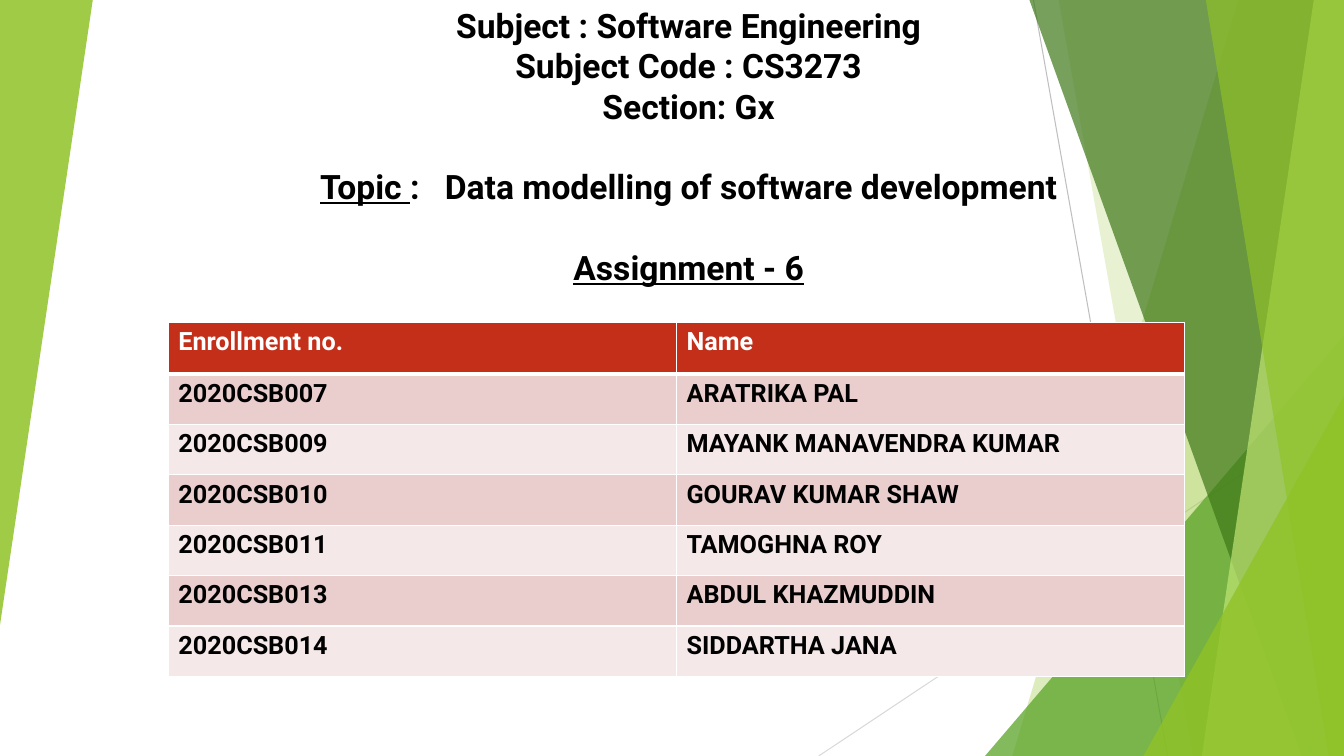
"""Build the title slide of a software engineering assignment."""
import dataclasses
import typing

import pptx
import pptx.dml.color
import pptx.enum.shapes
import pptx.enum.text
import pptx.oxml
import pptx.oxml.ns
import pptx.util

Inches = pptx.util.Inches
Pt = pptx.util.Pt
RGB = pptx.dml.color.RGBColor.from_string
qn = pptx.oxml.ns.qn
NS = pptx.oxml.ns.nsdecls("a")


@dataclasses.dataclass(frozen=True)
class Theme:
    font: str = "Roboto"
    title_size: float = 24
    line_pitch: float = 28.8
    table_size: float = 18
    text: str = "000000"
    white: str = "FFFFFF"
    header: str = "C42F1A"
    bands: tuple[str, str] = ("EACDCD", "F5E8E8")
    lime: str = "90C226"
    green: str = "54A021"
    forest: str = "3F7819"
    pale: str = "C0E474"
    grey: str = "BFBFBF"
    light_grey: str = "D9D9D9"


class Ray(typing.NamedTuple):
    start: tuple[float, float]
    end: tuple[float, float]
    color: str


class Facet(typing.NamedTuple):
    top_left: float
    bottom_left: float
    color: str
    alpha: int


class Corner(typing.NamedTuple):
    left: float
    top: float
    width: float
    height: float
    color: str
    alpha: int
    rotation: float = 0


class Line(typing.NamedTuple):
    runs: tuple[tuple[str, dict[str, typing.Any]], ...]
    gap_before: bool = False


THEME = Theme()
WIDTH, HEIGHT = 13.33, 7.5
UNDERLINE = {"underline": True}
THREE_SPACES_EXTRA = "1200"

RAYS = [
    Ray((10.25, 0), (11.58, HEIGHT), THEME.grey),
    Ray((WIDTH, 4.03), (8.12, HEIGHT), THEME.light_grey),
]
DECOR = [
    Facet(12.28, 10.04, THEME.lime, 30),
    Facet(10.5, 11.83, THEME.lime, 20),
    Corner(9.77, 3.33, 3.56, 4.17, THEME.green, 72),
    Facet(10.21, 12.91, THEME.forest, 70),
    Facet(13.03, 11.92, THEME.pale, 70),
    Facet(11.96, 13.18, THEME.lime, 65),
    Corner(11.34, 3.93, 1.99, 3.57, THEME.lime, 80),
    Corner(0, 0, 0.92, 6.2, THEME.lime, 85, 180),
]
HEADING = [
    Line((("Subject : Software Engineering", {}),)),
    Line((("Subject Code : CS3273", {}),)),
    Line((("Section: Gx", {}),)),
    Line((("Topic ", UNDERLINE), (":", {}), (" ", {"spacing": THREE_SPACES_EXTRA}),
          ("Data modelling of software development", {})), True),
    Line((("Assignment - 6", UNDERLINE),), True),
]
STUDENTS = [
    ("Enrollment no.", "Name"),
    ("2020CSB007", "ARATRIKA PAL"),
    ("2020CSB009", "MAYANK MANAVENDRA KUMAR"),
    ("2020CSB010", "GOURAV KUMAR SHAW"),
    ("2020CSB011", "TAMOGHNA ROY"),
    ("2020CSB013", "ABDUL KHAZMUDDIN"),
    ("2020CSB014", "SIDDARTHA JANA"),
]


def add_run(p, text: str, size: float, color: str, **extra: typing.Any) -> None:
    """Add a bold run; spacing is in hundredths of a point."""
    r = p.add_run()
    r.text = text
    spacing = extra.pop("spacing", None)
    style = {"name": THEME.font, "size": Pt(size), "bold": True, **extra}
    for name, value in style.items():
        setattr(r.font, name, value)
    r.font.color.rgb = RGB(color)
    if spacing:
        r.font._element.set("spc", spacing)


def add_ray(shapes, ray: Ray) -> None:
    """Draw a thin background line."""
    points = [Inches(v) for v in (*ray.start, *ray.end)]
    sp = shapes.add_connector(pptx.enum.shapes.MSO_CONNECTOR.STRAIGHT, *points)
    sp.line.color.rgb = RGB(ray.color)
    sp.line.width = Pt(0.75)
    sp._element.spPr.append(pptx.oxml.parse_xml(f"<a:effectLst {NS}/>"))


def add_decor(shapes, item: Facet | Corner) -> None:
    """Draw a translucent facet along the right edge or a corner triangle."""
    if isinstance(item, Facet):
        corners = [(item.top_left, 0), (WIDTH, 0), (WIDTH, HEIGHT), (item.bottom_left, HEIGHT)]
        points = [(Inches(x), Inches(y)) for x, y in corners]
        builder = shapes.build_freeform(*points[0])
        builder.add_line_segments(points[1:], close=True)
        sp = builder.convert_to_shape()
    else:
        box = [Inches(v) for v in item[:4]]
        sp = shapes.add_shape(pptx.enum.shapes.MSO_SHAPE.ISOSCELES_TRIANGLE, *box)
        sp.adjustments[0] = 1
        sp.rotation = item.rotation
    sp.shadow.inherit = False
    sp.fill.solid()
    sp.fill.fore_color.rgb = RGB(item.color)
    sp.line.fill.background()
    color = sp._element.spPr.find(qn("a:solidFill"))[0]
    color.append(pptx.oxml.parse_xml(f'<a:alpha {NS} val="{item.alpha * 1000}"/>'))


def style_cell(cell, text: str, fill: str, color: str, edges: dict[str, float]) -> None:
    """Write one table cell with its borders, fill and text."""
    tc_pr = cell._tc.get_or_add_tcPr()
    for side, width in edges.items():
        tc_pr.append(pptx.oxml.parse_xml(
            f'<a:ln{side} {NS} w="{Pt(width)}"><a:solidFill>'
            f'<a:srgbClr val="{THEME.white}"/></a:solidFill></a:ln{side}>'))
    cell.fill.solid()
    cell.fill.fore_color.rgb = RGB(fill)
    add_run(cell.text_frame.paragraphs[0], text, THEME.table_size, color)


def add_students(shapes, rows: list[tuple[str, str]]) -> None:
    """Draw the table of enrolment numbers and names."""
    box = [Inches(v) for v in (1.67, 3.2, 10.08, 3.51)]
    table = shapes.add_table(len(rows), 2, *box).table
    table.horz_banding = False
    for i, row in enumerate(rows):
        table.rows[i].height = Inches(0.5 if i else 0.51)
        fill = THEME.bands[(i - 1) % 2] if i else THEME.header
        color = THEME.text if i else THEME.white
        edges = {"L": 1, "R": 1, "T": 3 if i == 1 else 1, "B": 1 if i else 3}
        for j, text in enumerate(row):
            style_cell(table.cell(i, j), text, fill, color, edges)


def add_heading(shapes, lines: list[Line]) -> None:
    """Draw the centred heading lines."""
    box = [Inches(v) for v in (1.24, 0, 11.18, 2.93)]
    tf = shapes.add_textbox(*box).text_frame
    tf.word_wrap = True
    tf.auto_size = pptx.enum.text.MSO_AUTO_SIZE.SHAPE_TO_FIT_TEXT
    for i, line in enumerate(lines):
        p = tf.add_paragraph() if i else tf.paragraphs[0]
        p.alignment = pptx.enum.text.PP_ALIGN.CENTER
        if line.gap_before:
            p.space_before = Pt(THEME.line_pitch)
        for text, extra in line.runs:
            add_run(p, text, THEME.title_size, THEME.text, **extra)


prs = pptx.Presentation()
prs.slide_width, prs.slide_height = Inches(WIDTH), Inches(HEIGHT)
slide = prs.slides.add_slide(prs.slide_layouts[6])
for ray in RAYS:
    add_ray(slide.shapes, ray)
for item in DECOR:
    add_decor(slide.shapes, item)
add_students(slide.shapes, STUDENTS)
add_heading(slide.shapes, HEADING)
prs.save("out.pptx")
